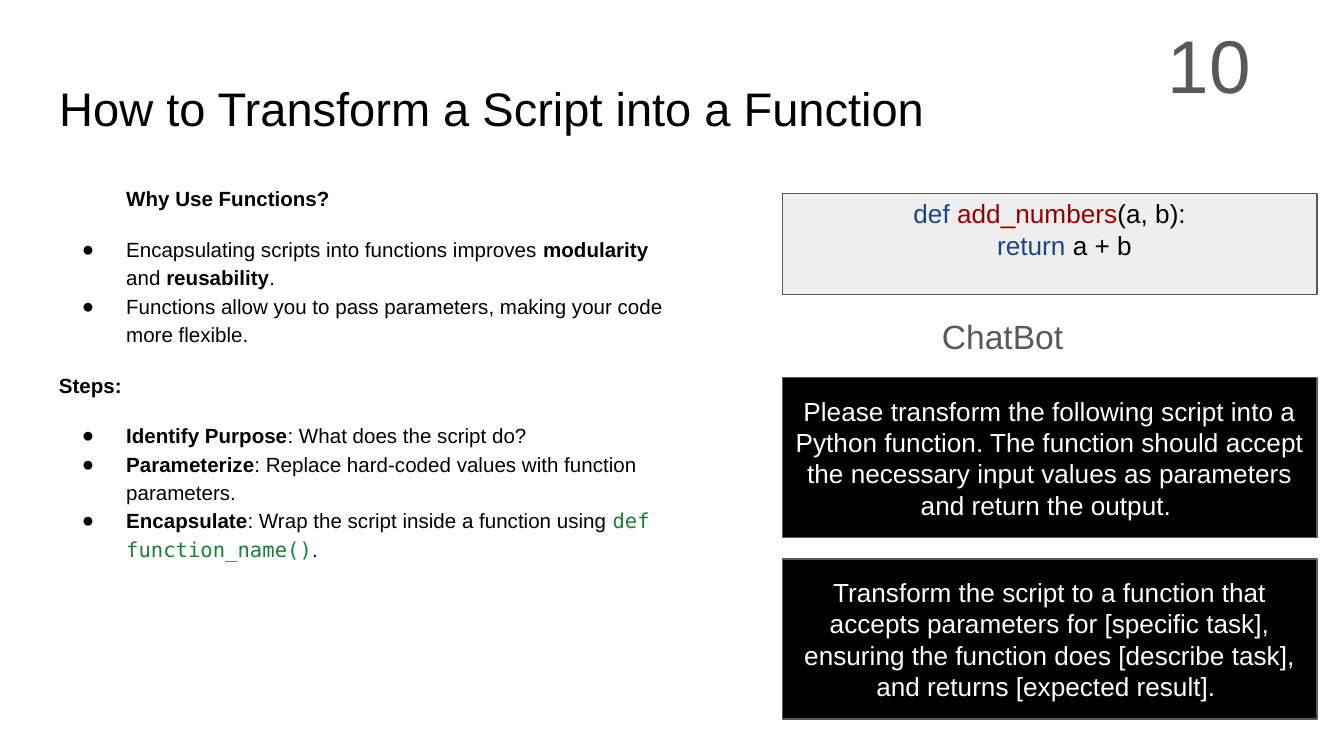
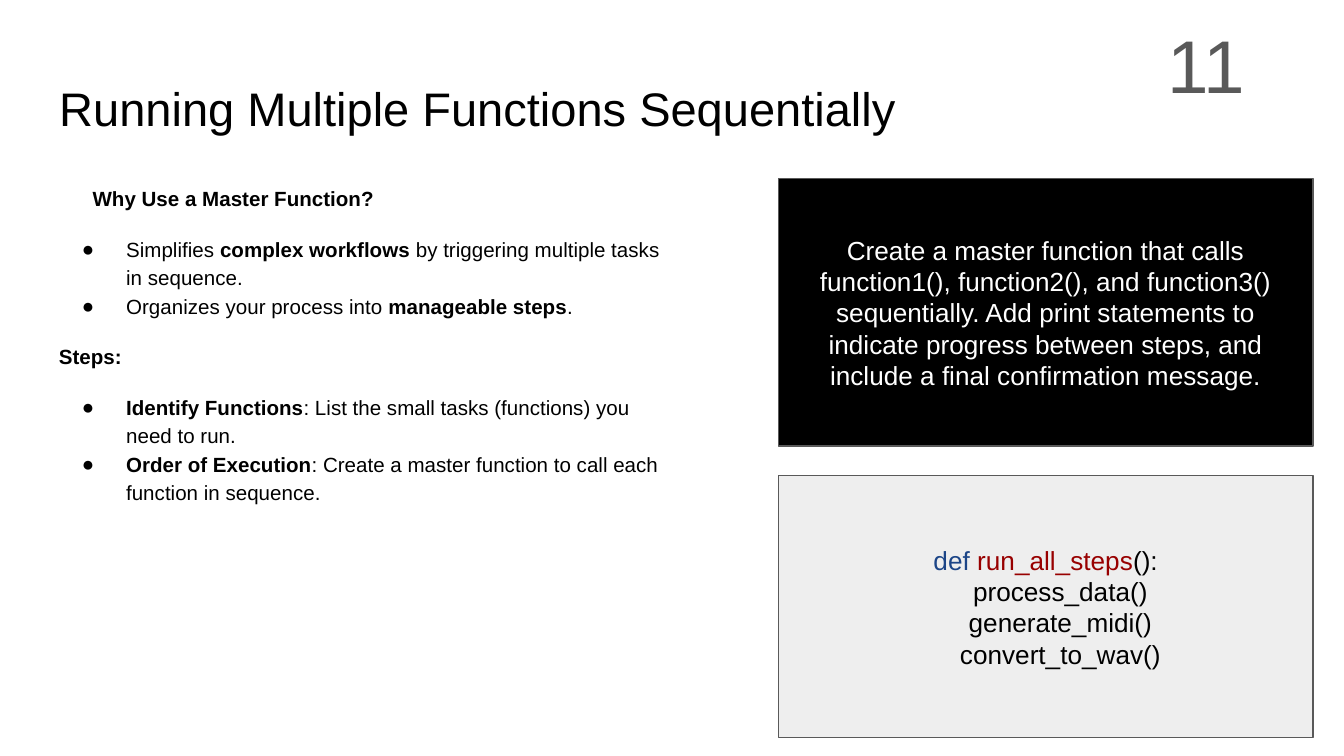
from dataclasses import dataclass

from lxml import etree
from pptx import Presentation
from pptx import util as u
from pptx.dml.color import RGBColor
from pptx.enum import shapes, text
from pptx.oxml import ns

EMU_PER_PX = 9144  # 100 px to the inch


@dataclass(frozen=True)
class Theme:
    font: str = "Arial"
    mono: str = "DejaVu Sans Mono"
    ink: str = "000000"
    paper: str = "FFFFFF"
    grey: str = "595959"
    code_fill: str = "EEEEEE"
    keyword: str = "1C4587"
    name: str = "980000"
    inline_code: str = "188038"
    title_size: float = 25.2
    number_size: int = 40
    label_size: int = 18
    panel_size: int = 14
    body_size: int = 11


THEME = Theme()
TITLE_BOX = (34, 49, 756, 63)
BODY_BOX = (34, 126, 482, 374)
NUMBER_BOX = (859, 4, 141, 88)
INSET = 10
HANG = 33
TEXT_INDENT = 50
CODE_INDENT = 22


def px(length):
    return u.Emu(length * EMU_PER_PX)


def scaled(box):
    return [px(length) for length in box]


def set_frame(frame, anchor, top_inset=INSET):
    frame.word_wrap = True
    frame.auto_size = text.MSO_AUTO_SIZE.NONE
    frame.vertical_anchor = anchor
    frame.margin_left = frame.margin_right = frame.margin_bottom = px(INSET)
    frame.margin_top = px(top_inset)


def write(para, spans, size, color):
    """Write (words, style) spans; a style names bold or a code colour."""
    for words, style in spans:
        span = para.add_run()
        span.text = words
        span.font.size = u.Pt(size)
        span.font.bold = style == "bold"
        span.font.name = THEME.mono if style == "inline_code" else THEME.font
        shade = color if style in ("", "bold") else getattr(THEME, style)
        span.font.color.rgb = RGBColor.from_string(shade)


def paragraphs(frame, count):
    return [frame.paragraphs[0]] + [frame.add_paragraph() for _ in range(count - 1)]


def set_indent(para, left, first=0):
    properties = para._p.get_or_add_pPr()
    properties.set("marL", str(px(left)))
    properties.set("indent", str(px(first)))
    return properties


def add_bullet(para):
    properties = set_indent(para, TEXT_INDENT, -HANG)
    color = etree.SubElement(properties, ns.qn("a:buClr"))
    etree.SubElement(color, ns.qn("a:srgbClr")).set("val", THEME.ink)
    etree.SubElement(properties, ns.qn("a:buFont")).set("typeface", THEME.font)
    etree.SubElement(properties, ns.qn("a:buChar")).set("char", "●")


def add_label(page, box, words, size):
    label = page.shapes.add_textbox(*scaled(box))
    set_frame(label.text_frame, text.MSO_ANCHOR.TOP)
    write(label.text_frame.paragraphs[0], [(words, "")], size, THEME.grey)


def add_page(deck, title, number):
    page = deck.slides.add_slide(deck.slide_layouts[5])
    heading = page.shapes.title
    heading.left, heading.top, heading.width, heading.height = scaled(TITLE_BOX)
    set_frame(heading.text_frame, text.MSO_ANCHOR.MIDDLE)
    para = heading.text_frame.paragraphs[0]
    para.alignment = text.PP_ALIGN.LEFT
    write(para, [(title, "")], THEME.title_size, THEME.ink)
    add_label(page, NUMBER_BOX, number, THEME.number_size)
    return page


def add_body(page, box, sections, first_indent):
    """Each section is a bold heading followed by its bullets."""
    body = page.shapes.add_textbox(*scaled(box))
    set_frame(body.text_frame, text.MSO_ANCHOR.TOP)
    total = sum(1 + len(bullets) for _, bullets in sections)
    paras = paragraphs(body.text_frame, total)
    for para in paras:
        para.line_spacing = 1.15
    set_indent(paras[0], first_indent)
    remaining = iter(paras)
    for order, (heading, bullets) in enumerate(sections):
        para = next(remaining)
        para.space_before = u.Pt(12 if order else 0)
        write(para, [(heading, "bold")], THEME.body_size, THEME.ink)
        for position, spans in enumerate(bullets):
            para = next(remaining)
            para.space_before = u.Pt(0 if position else 12)
            add_bullet(para)
            write(para, spans, THEME.body_size, THEME.ink)


def add_panel(page, box, fill):
    panel = page.shapes.add_shape(shapes.MSO_SHAPE.RECTANGLE, *scaled(box))
    panel.shadow.inherit = False
    panel.fill.solid()
    panel.fill.fore_color.rgb = RGBColor.from_string(fill)
    panel.line.color.rgb = RGBColor.from_string(THEME.grey)
    panel.line.width = u.Pt(0.75)
    set_frame(panel.text_frame, text.MSO_ANCHOR.MIDDLE)
    return panel.text_frame


def add_prompt(page, box, words):
    para = add_panel(page, box, THEME.ink).paragraphs[0]
    para.alignment = text.PP_ALIGN.CENTER
    write(para, [(words, "")], THEME.panel_size, THEME.paper)


def add_code(page, box, lines):
    """The first line is the signature, the others are indented under it."""
    frame = add_panel(page, box, THEME.code_fill)
    for order, (para, spans) in enumerate(zip(paragraphs(frame, len(lines)), lines)):
        para.alignment = text.PP_ALIGN.CENTER
        set_indent(para, CODE_INDENT if order else 0)
        write(para, spans, THEME.panel_size, THEME.ink)
    return frame


def transform_column(page, box):
    left, top, width, _ = box
    code = add_code(page, (left, top, width, 75), [
        [("def ", "keyword"), ("add_numbers", "name"), ("(a, b):", "")],
        [("return", "keyword"), (" a + b", "")],
    ])
    set_frame(code, text.MSO_ANCHOR.TOP, top_inset=3)
    add_label(page, (left + 109, top + 81, width - 109, 50), "ChatBot", THEME.label_size)
    prompts = [
        "Please transform the following script into a Python function. The function "
        "should accept the necessary input values as parameters and return the output. ",
        "Transform the script to a function that accepts parameters for [specific task], "
        "ensuring the function does [describe task], and returns [expected result]. ",
    ]
    for order, words in enumerate(prompts):
        add_prompt(page, (left, top + 137 + 135 * order, width, 119), words)


def master_column(page, box):
    left, top, width, height = box
    add_prompt(
        page, (left, top, width, 199),
        "Create a master function that calls function1(), function2(), and function3() "
        "sequentially. Add print statements to indicate progress between steps, and "
        "include a final confirmation message.",
    )
    calls = ["process_data()", "generate_midi()", "convert_to_wav()"]
    signature = [("def ", "keyword"), ("run_all_steps", "name"), ("():", "")]
    add_code(page, (left, top + 221, width, height - 221),
             [signature] + [[(call, "")] for call in calls])


def transform_slide(deck):
    page = add_page(deck, "How to Transform a Script into a Function", "10")
    add_body(page, BODY_BOX, [
        ("Why Use Functions?", [
            [("Encapsulating scripts into functions improves ", ""), ("modularity", "bold"),
             (" and ", ""), ("reusability", "bold"), (".", "")],
            [("Functions allow you to pass parameters, making your code more flexible.", "")],
        ]),
        ("Steps:", [
            [("Identify Purpose", "bold"), (": What does the script do?", "")],
            [("Parameterize", "bold"),
             (": Replace hard-coded values with function parameters.", "")],
            [("Encapsulate", "bold"), (": Wrap the script inside a function using ", ""),
             ("def function_name()", "inline_code"), (".", "")],
        ]),
    ], first_indent=TEXT_INDENT)
    transform_column(page, (582, 144, 398, 391))


def master_slide(deck):
    page = add_page(deck, "Running Multiple Functions Sequentially", "11")
    add_body(page, BODY_BOX, [
        ("Why Use a Master Function?", [
            [("Simplifies ", ""), ("complex workflows", "bold"),
             (" by triggering multiple tasks in sequence.", "")],
            [("Organizes your process into ", ""), ("manageable steps", "bold"), (".", "")],
        ]),
        ("Steps:", [
            [("Identify Functions", "bold"),
             (": List the small tasks (functions) you need to run.", "")],
            [("Order of Execution", "bold"),
             (": Create a master function to call each function in sequence.", "")],
        ]),
    ], first_indent=TEXT_INDENT // 2)
    master_column(page, (579, 133, 398, 416))


def main():
    deck = Presentation()
    deck.slide_width = px(1000)
    deck.slide_height = deck.slide_width * 9 // 16
    transform_slide(deck)
    master_slide(deck)
    deck.save("out.pptx")


if __name__ == "__main__":
    main()
